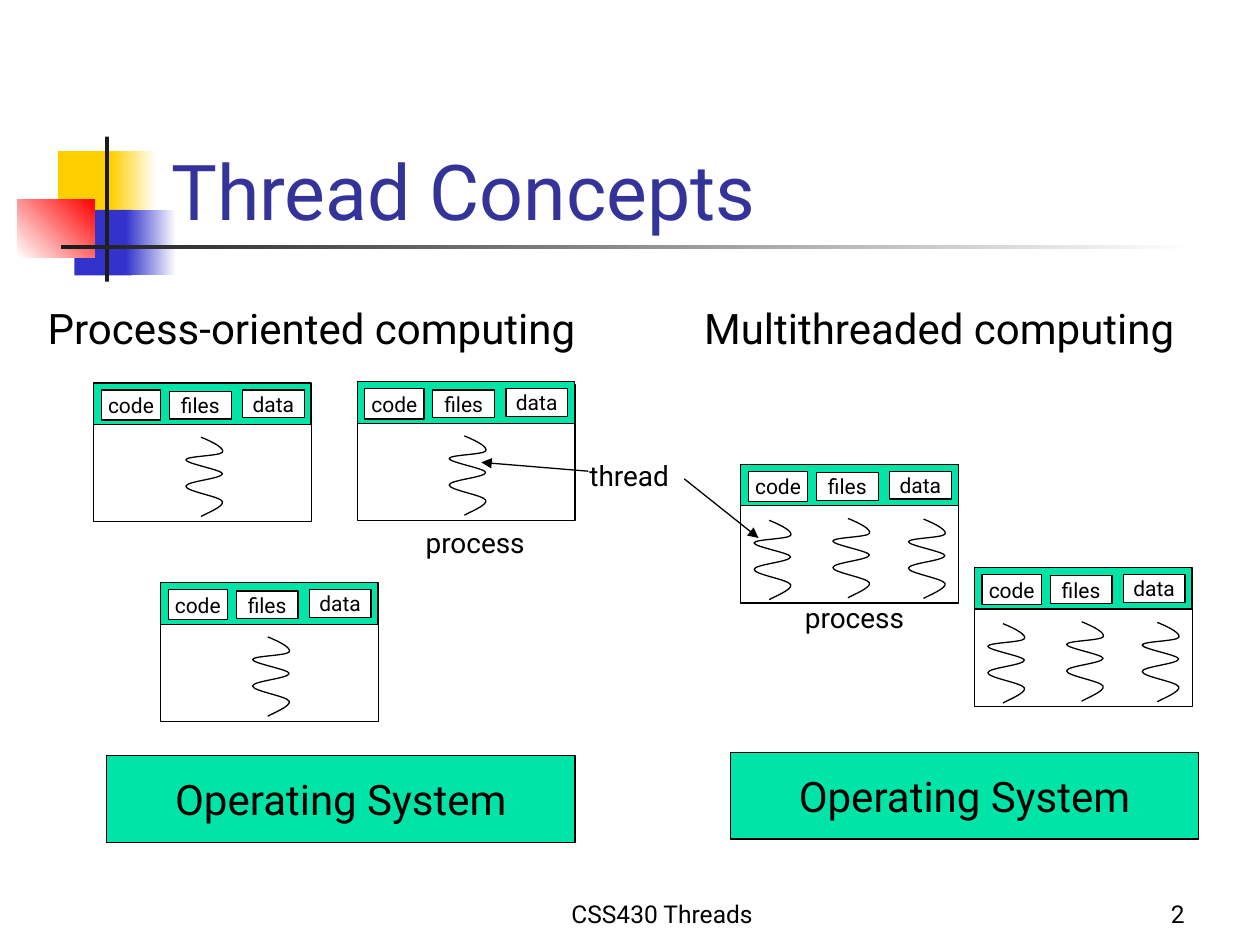
from lxml import etree
from pptx import Presentation, util as u
from pptx.dml.color import RGBColor
from pptx.enum import shapes, text
from pptx.oxml import ns

COLUMNS, ROWS = 100, 75
WIDTH, HEIGHT = u.Inches(10), u.Inches(7.5)
FONT = "Roboto"
BLACK, WHITE, GREEN, TITLE_BLUE = "000000", "FFFFFF", "00E4A8", "333399"
YELLOW, BLUE, RED, CHARCOAL = "FFCF01", "3333CC", "FF0000", "1C1C1C"

# Start point and curves (two handles and an end) of one thread, in grid units
THREAD_START = (1.2, 0)
THREAD_CURVES = [
    ((2.2, 0.4), (3.1, 0.9), (2.9, 1.2)),
    ((2.7, 1.5), (0, 1.5), (0, 1.8)),
    ((0, 2.1), (2.9, 2.6), (2.9, 2.9)),
    ((2.9, 3.3), (0, 3.5), (0, 3.9)),
    ((0, 4.3), (2.7, 4.7), (2.9, 5.1)),
    ((3.1, 5.5), (1.5, 6.1), (1.2, 6.3)),
]
RESOURCES = [("code", 0.6, 0.55, 4.7, 2.4), ("files", 6, 0.65, 4.9, 2.2),
             ("data", 11.8, 0.55, 4.9, 2.2)]
ONE_THREAD = [(7.3, 4.3)]
THREE_THREADS = [(7.3, 4.3), (13.3, 4.35), (1.05, 4.45)]


def col(number):
    return round(WIDTH * number / COLUMNS)


def row(number):
    return round(HEIGHT * number / ROWS)


def place(x, y, width, height):
    return col(x), row(y), col(width), row(height)


def color(hex_text):
    return RGBColor.from_string(hex_text)


def outline(item):
    item.line.color.rgb = color(BLACK)
    item.line.width = u.Pt(0.75)


def write(box, words, size, ink=BLACK, align=text.PP_ALIGN.LEFT,
          anchor=text.MSO_ANCHOR.TOP, wrap=False):
    frame = box.text_frame
    frame.text = words
    frame.word_wrap = wrap
    frame.vertical_anchor = anchor
    para = frame.paragraphs[0]
    para.alignment = align
    font = para.runs[0].font
    font.name, font.size = FONT, u.Pt(size)
    font.color.rgb = color(ink)


def add_block(parent, area, fill=None, border=True):
    block = parent.shapes.add_shape(shapes.MSO_SHAPE.RECTANGLE, *place(*area))
    block.shadow.inherit = False
    if fill:
        block.fill.solid()
        block.fill.fore_color.rgb = color(fill)
    else:
        block.fill.background()
    if border:
        outline(block)
    else:
        block.line.fill.background()
    return block


def add_fade(page, area, first, last, angle=0):
    block = add_block(page, area, border=False)
    block.fill.gradient()
    block.fill.gradient_angle = angle
    for stop, shade, position in zip(block.fill.gradient_stops, (first, last), (0, 1)):
        stop.color.rgb = color(shade)
        stop.position = position


def add_label_block(parent, area, words, size, fill):
    block = add_block(parent, area, fill)
    write(block, words, size, align=text.PP_ALIGN.CENTER, anchor=text.MSO_ANCHOR.MIDDLE)


def add_label(page, area, words, size, **style):
    write(page.shapes.add_textbox(*place(*area)), words, size, **style)


def bend(outline_shape):
    """Turn every three straight segments into one cubic curve."""
    segments = list(outline_shape._element.iter(ns.qn("a:lnTo")))
    for first, second, end in zip(*[iter(segments)] * 3):
        curve = etree.Element(ns.qn("a:cubicBezTo"))
        first.addprevious(curve)
        for segment in (first, second, end):
            curve.append(segment[0])
            segment.getparent().remove(segment)


def add_thread(parent, x, y):
    pen = parent.shapes.build_freeform(col(x + THREAD_START[0]), row(y + THREAD_START[1]))
    pen.add_line_segments([(col(x + dx), row(y + dy))
                           for curve in THREAD_CURVES for dx, dy in curve], close=False)
    thread = pen.convert_to_shape()
    bend(thread)
    thread.shadow.inherit = False
    thread.fill.background()
    outline(thread)


def add_process(page, x, y, threads):
    group = page.shapes.add_group_shape()
    add_block(group, (x, y + 0.2, 17.3, 10.8))
    add_block(group, (x, y, 17.25, 3.3), GREEN)
    for name, dx, dy, width, height in RESOURCES:
        add_label_block(group, (x + dx, y + dy, width, height), name, 12, WHITE)
    for dx, dy in threads:
        add_thread(group, x + dx, y + dy)


def add_arrow(page, x1, y1, x2, y2):
    arrow = page.shapes.add_connector(shapes.MSO_CONNECTOR.STRAIGHT,
                                      col(x1), row(y1), col(x2), row(y2))
    outline(arrow)
    line = arrow.line._get_or_add_ln()
    etree.SubElement(line, ns.qn("a:tailEnd"), type="triangle")
    etree.SubElement(arrow._element.spPr, ns.qn("a:effectLst"))


def add_ornament(page):
    add_block(page, (4.6, 12, 4.8, 5.2), YELLOW, border=False)
    add_fade(page, (8.8, 12, 3.6, 5.2), YELLOW, WHITE)
    add_block(page, (5.9, 16.65, 4.6, 5.2), BLUE, border=False)
    add_fade(page, (10, 16.65, 4, 5.2), BLUE, WHITE)
    add_fade(page, (1.4, 15.8, 6.1, 4.65), WHITE, RED, angle=45)
    add_block(page, (8.35, 10.85, 0.3, 11.5), CHARCOAL, border=False)
    add_fade(page, (4.85, 19.45, 90, 0.35), CHARCOAL, WHITE)


def main():
    deck = Presentation()
    deck.slide_width, deck.slide_height = WIDTH, HEIGHT
    page = deck.slides.add_slide(deck.slide_layouts[6])
    bottom = text.MSO_ANCHOR.BOTTOM

    add_ornament(page)
    add_label(page, (36.7, 69.2, 31.7, 5), "CSS430 Threads", 14,
              align=text.PP_ALIGN.CENTER, anchor=bottom, wrap=True)
    add_label(page, (74.2, 69.2, 20.8, 5), "2", 14,
              align=text.PP_ALIGN.RIGHT, anchor=bottom, wrap=True)
    add_label(page, (12.6, 6.7, 85.2, 12.5), "Thread Concepts", 44,
              ink=TITLE_BLUE, anchor=bottom, wrap=True)

    for x, y in ((8.45, 59.95), (57.95, 59.7)):
        add_label_block(page, (x, y, 37.2, 6.9), "Operating System", 24, GREEN)
    add_label(page, (2.8, 23.5, 46.3, 5), "Process-oriented computing", 24)
    add_label(page, (54.9, 23.5, 42.2, 5), "Multithreaded computing", 24)

    for x, y in ((7.45, 30.4), (28.35, 30.3), (12.75, 46.25)):
        add_process(page, x, y, ONE_THREAD)
    for x, y in ((58.8, 36.85), (77.35, 45.05)):
        add_process(page, x, y, THREE_THREADS)

    add_label(page, (45.8, 35.9, 8.9, 3.7), "thread", 16)
    add_arrow(page, 46.7, 37.4, 38.2, 36.7)
    add_arrow(page, 54.3, 38, 60.2, 42.7)
    for x, y in ((32.8, 41.2), (62.9, 47.2)):
        add_label(page, (x, y, 10, 3.7), "process", 16)

    deck.save("out.pptx")


if __name__ == "__main__":
    main()
